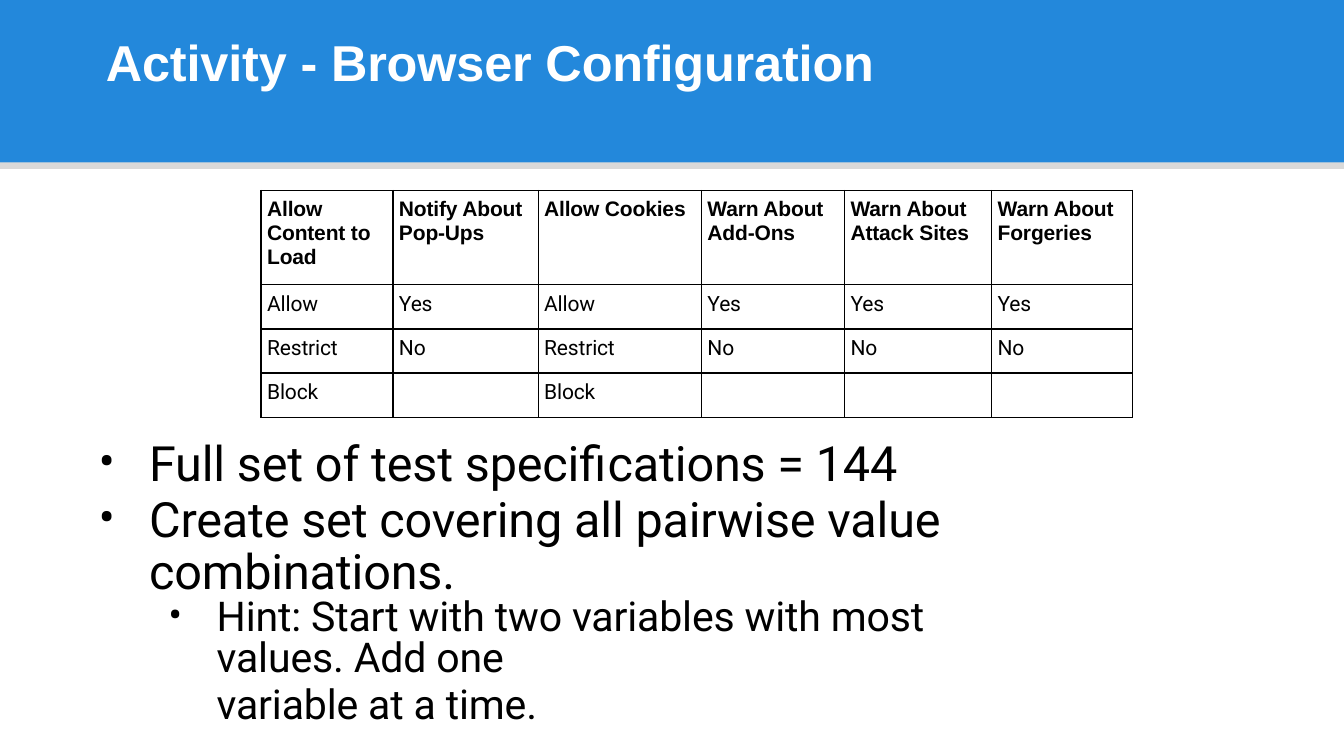
from lxml import etree
from pptx import Presentation
from pptx.dml.color import RGBColor
from pptx.enum.shapes import MSO_SHAPE
from pptx.enum.text import MSO_ANCHOR, MSO_AUTO_SIZE, PP_ALIGN
from pptx.oxml.ns import qn
from pptx.util import Pt

RECTANGLE = MSO_SHAPE.RECTANGLE
TOP = MSO_ANCHOR.TOP
NO_FIT = MSO_AUTO_SIZE.NONE
LEFT = PP_ALIGN.LEFT
COLORS = {"band": "2388DB", "ink": "000000", "title": "FFFFFF"}
HEADING_FONT, BODY_FONT = "Arial", "Roboto"
SLIDE_WIDTH, SLIDE_HEIGHT = 960, 540

OPTIONS = [
    ["Allow Content to Load", "Notify About Pop-Ups", "Allow Cookies",
     "Warn About Add-Ons", "Warn About Attack Sites", "Warn About Forgeries"],
    ["Allow", "Yes", "Allow", "Yes", "Yes", "Yes"],
    ["Restrict", "No", "Restrict", "No", "No", "No"],
    ["Block", "", "Block", "", "", ""],
]
COLUMN_WIDTHS = [94.2, 103.7, 116.7, 102.2, 105.1, 100.8]
ROW_HEIGHTS = [67.4, 31.5, 31.5, 31.5]

TASKS = [
    dict(text="Full set of test specifications = 144", size=34.7,
         line=39.6, before=1.3, margin=37.4, indent=-36),
    dict(text="Create set covering all pairwise value combinations.", size=34.7,
         line=37.1, before=3, margin=37.4, indent=-36),
    dict(text="Hint: Start with two variables with most values. Add one", size=29.3,
         line=29.2, margin=85.7, indent=-34.6, right=140, level=1),
    dict(text="variable at a time.", size=29.3, line=33.6, margin=85.7),
]


class ActivitySlide:
    """Holds the slide and its style, and adds each kind of element."""

    def __init__(self, presentation):
        self.slide = presentation.slides.add_slide(presentation.slide_layouts[5])
        self.shapes = self.slide.shapes

    def add_text(self, paragraph, text, size, font=BODY_FONT, color="ink", bold=False):
        run = paragraph.add_run()
        run.text = text
        run.font.size = Pt(size)
        run.font.name = font
        run.font.bold = bold
        run.font.color.rgb = RGBColor.from_string(COLORS[color])
        run._r.get_or_add_rPr().set("spc", "-10")

    def indent(self, paragraph, margin, indent=0, right=0):
        properties = paragraph._p.get_or_add_pPr()
        for name, length in (("marL", margin), ("marR", right), ("indent", indent)):
            properties.set(name, str(Pt(length)))
        return properties

    def frame(self, text_frame):
        text_frame.word_wrap = True
        text_frame.auto_size = NO_FIT
        text_frame.vertical_anchor = TOP
        text_frame.margin_left = text_frame.margin_right = text_frame.margin_bottom = 0
        text_frame.margin_top = Pt(1.4)

    def band(self, top, height, color, alpha=100):
        band = self.shapes.add_shape(RECTANGLE, 0, Pt(top), Pt(SLIDE_WIDTH), Pt(height))
        band.shadow.inherit = False
        band.line.fill.background()
        band.fill.solid()
        band.fill.fore_color.rgb = RGBColor.from_string(COLORS[color])
        if alpha < 100:
            tint = band._element.spPr.find(".//" + qn("a:srgbClr"))
            etree.SubElement(tint, qn("a:alpha"), val=str(alpha * 1000))

    def title(self, text, left, top, width, height):
        title = self.shapes.title
        title.left, title.top, title.width, title.height = map(Pt, (left, top, width, height))
        self.frame(title.text_frame)
        heading = title.text_frame.paragraphs[0]
        heading.alignment = LEFT
        self.indent(heading, 1.4)
        self.add_text(heading, text, 36, HEADING_FONT, "title", True)
        self.shapes._spTree.append(title._element)

    def cell(self, cell, text, is_header):
        cell.margin_left = cell.margin_right = cell.margin_bottom = 0
        cell.margin_top = Pt(5)
        properties = cell._tc.get_or_add_tcPr()
        for side in ("a:lnL", "a:lnR", "a:lnT", "a:lnB"):
            border = etree.SubElement(properties, qn(side), w=str(Pt(1)))
            fill = etree.SubElement(border, qn("a:solidFill"))
            etree.SubElement(fill, qn("a:srgbClr"), val=COLORS["ink"])
        cell.fill.background()
        if text:
            label = cell.text_frame.paragraphs[0]
            label.space_before = Pt(4)
            self.indent(label, 4.3)
            if is_header:
                label.line_spacing = 1.02
            self.add_text(label, text, 15, HEADING_FONT if is_header else BODY_FONT, bold=is_header)

    def table(self, rows, left, top, widths, heights):
        table = self.shapes.add_table(len(rows), len(widths), Pt(left), Pt(top),
                                      Pt(sum(widths)), Pt(sum(heights))).table
        table.first_row = table.horz_banding = False
        for column, width in zip(table.columns, widths):
            column.width = Pt(width)
        for row_index, (row, height) in enumerate(zip(rows, heights)):
            table.rows[row_index].height = Pt(height)
            for column_index, text in enumerate(row):
                self.cell(table.cell(row_index, column_index), text, row_index == 0)

    def bullets(self, items, left, top, width, height):
        body = self.shapes.add_textbox(Pt(left), Pt(top), Pt(width), Pt(height)).text_frame
        self.frame(body)
        for index, item in enumerate(items):
            task = body.add_paragraph() if index else body.paragraphs[0]
            task.level = item.get("level", 0)
            task.line_spacing = Pt(item["line"])
            task.space_before = Pt(item.get("before", 0))
            hanging = item.get("indent", 0)
            properties = self.indent(task, item["margin"], hanging, item.get("right", 0))
            if hanging:
                etree.SubElement(properties, qn("a:buFont"), typeface=BODY_FONT)
                etree.SubElement(properties, qn("a:buChar"), char="•")
            self.add_text(task, item["text"], item["size"])


def main():
    presentation = Presentation()
    presentation.slide_width, presentation.slide_height = Pt(SLIDE_WIDTH), Pt(SLIDE_HEIGHT)
    activity = ActivitySlide(presentation)
    activity.band(0, 116, "band")
    activity.band(116, 4.7, "ink", alpha=15)
    activity.title("Activity - Browser Configuration", 74.2, 20.9, 811, 44.6)
    activity.bullets(TASKS, 69.1, 309.6, 805, 182.9)
    activity.table(OPTIONS, 186.5, 136.1, COLUMN_WIDTHS, ROW_HEIGHTS)
    presentation.save("out.pptx")


if __name__ == "__main__":
    main()
